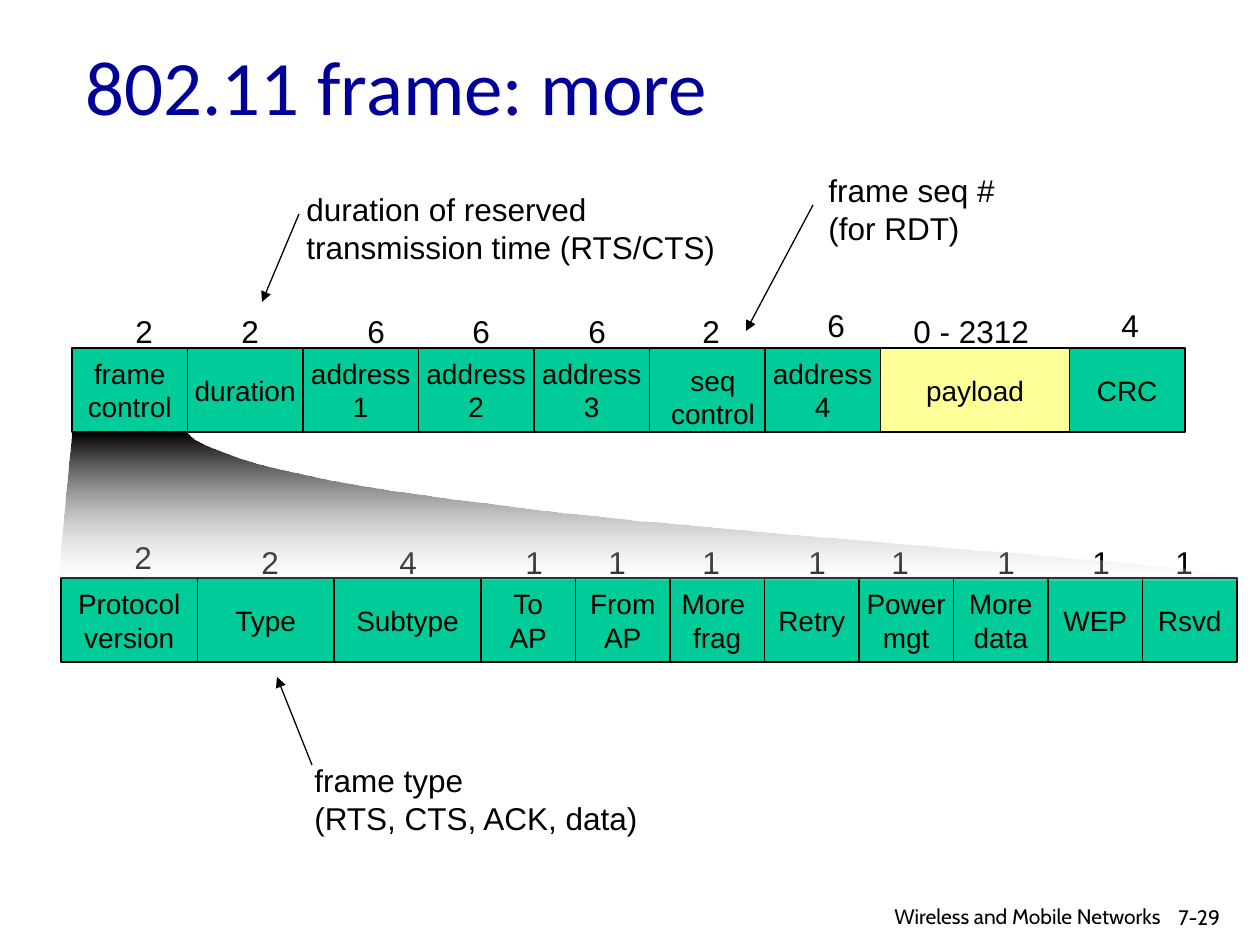
from lxml.etree import SubElement
from pptx import Presentation
from pptx.dml.color import RGBColor
from pptx.enum.shapes import MSO_CONNECTOR, MSO_SHAPE
from pptx.enum.text import MSO_ANCHOR, MSO_AUTO_SIZE, PP_ALIGN
from pptx.oxml.ns import qn
from pptx.util import Emu, Pt

PX = 914400 / 126
UNIT = 10.5  # field widths are counted in twelfths of an inch
FIELD_H = 84
LABEL_W, LABEL_H = 43, 50
BLACK, GREEN, YELLOW, NAVY = "000000", "00CC99", "FFFF99", "000099"

# Field: lines, width in units, size label, label left, label top
FRAME = dict(left=72, top=348, fields=[
    (["frame", "control"], 11, "2", 123, 306),
    (["duration"], 11, "2", 229, 306),
    (["address", "1"], 11, "6", 355, 306),
    (["address", "2"], 11, "6", 460, 306),
    (["address", "3"], 11, "6", 576, 306),
    ([], 11, "2", 690, 306),
    (["address", "4"], 11, "6", 815, 300),
    (["payload"], 18, "0 - 2312", 901, 306),
    (["CRC"], 11, "4", 1109, 300),
])
CONTROL = dict(left=61, top=578, fields=[
    (["Protocol", "version"], 13, "2", 122, 532),
    (["Type"], 13, "2", 249, 537),
    (["Subtype"], 14, "4", 387, 537),
    (["To", "AP"], 9, "1", 513, 537),
    (["From", "AP"], 9, "1", 596, 537),
    (["More ", "frag"], 9, "1", 690, 537),
    (["Retry"], 9, "1", 796, 537),
    (["Power", "mgt"], 9, "1", 879, 537),
    (["More", "data"], 9, "1", 985, 537),
    (["WEP"], 9, "1", 1080, 537),
    (["Rsvd"], 9, "1", 1163, 537),
])
# Note: lines, box, arrow start, arrow end
NOTES = [
    (["duration of reserved", "transmission time (RTS/CTS)"],
     (294, 184, 438, 89), (299, 214), (262, 302)),
    (["frame seq #", "(for RDT)"],
     (816, 165, 193, 89), (813, 205), (746, 331)),
    (["frame type", "(RTS, CTS, ACK, data)"],
     (302, 755, 355, 88), (312, 765), (277, 677)),
]
FOOTER = [
    ("7-29", (1166, 898, 94, 38), PP_ALIGN.LEFT),
    ("Wireless and Mobile Networks ", (806, 897, 372, 35), PP_ALIGN.RIGHT),
]
CURVE = [(1239, 581), (1260, 556), (272, 523), (187, 433)]


def px(*values):
    return [Emu(round(v * PX)) for v in values]


def rgb(color):
    return RGBColor.from_string(color)


def write(tf, lines, size, font="Arial", color=BLACK, align=PP_ALIGN.LEFT):
    for i, line in enumerate(lines):
        p = tf.paragraphs[0] if i == 0 else tf.add_paragraph()
        p.alignment = align
        r = p.add_run()
        r.text = line
        r.font.size, r.font.name = Pt(size), font
        r.font.color.rgb = rgb(color)


def add_text(shapes, lines, box, size, wrap=False, **style):
    tf = shapes.add_textbox(*px(*box)).text_frame
    tf.word_wrap = wrap
    if not wrap:
        tf.auto_size = MSO_AUTO_SIZE.SHAPE_TO_FIT_TEXT
    write(tf, lines, size, **style)


def add_row(slide, left, top, fields):
    shapes = slide.shapes.add_group_shape().shapes
    for lines, units, size_label, label_x, label_y in fields:
        width = units * UNIT
        sp = shapes.add_shape(MSO_SHAPE.RECTANGLE, *px(left, top, width, FIELD_H))
        sp.shadow.inherit = False
        sp.fill.solid()
        sp.fill.fore_color.rgb = rgb(YELLOW if lines == ["payload"] else GREEN)
        sp.line.color.rgb = rgb(BLACK)
        sp.line.width = Pt(0.75)
        tf = sp.text_frame
        tf.word_wrap = False
        tf.vertical_anchor = MSO_ANCHOR.MIDDLE
        write(tf, lines, 16, align=PP_ALIGN.CENTER)
        label_w = LABEL_W if len(size_label) == 1 else 141
        add_text(shapes, [size_label], (label_x, label_y, label_w, LABEL_H), 18)
        left += width
    return shapes


def add_arrow(slide, start, end):
    line = slide.shapes.add_connector(MSO_CONNECTOR.STRAIGHT, *px(*start, *end))
    line.line.color.rgb = rgb(BLACK)
    line.line.width = Pt(0.75)
    SubElement(line.line._get_or_add_ln(), qn("a:tailEnd"), type="triangle")
    SubElement(line._element.spPr, qn("a:effectLst"))


def bezier(points, steps=40):
    for i in range(steps + 1):
        t = i / steps
        weights = ((1 - t) ** 3, 3 * t * (1 - t) ** 2, 3 * t * t * (1 - t), t ** 3)
        yield tuple(sum(w * pt[axis] for w, pt in zip(weights, points))
                    for axis in (0, 1))


def add_fan(slide):
    fb = slide.shapes.build_freeform(73, 433, scale=PX)
    fb.add_line_segments([(59, 578), *bezier(CURVE)], close=True)
    sp = fb.convert_to_shape()
    sp.shadow.inherit = False
    sp.line.fill.background()
    sp.fill.gradient()
    sp.fill.gradient_angle = 270
    for stop, position, color in zip(sp.fill.gradient_stops, (0, 1), (BLACK, "FFFFFF")):
        stop.position = position
        stop.color.rgb = rgb(color)
    white = sp._element.spPr.findall(".//" + qn("a:srgbClr"))[-1]
    SubElement(white, qn("a:alpha"), val="18000")


def main():
    prs = Presentation()
    prs.slide_width, prs.slide_height = px(1260, 945)
    slide = prs.slides.add_slide(prs.slide_layouts[5])

    # Title
    title = slide.shapes.title
    title.left, title.top, title.width, title.height = px(73, 32, 1071, 157)
    title.text_frame.vertical_anchor = MSO_ANCHOR.TOP
    write(title.text_frame, ["802.11 frame: more"], 44, "Calibri", NAVY)

    # Frame and its expanded control field
    frame = add_row(slide, **FRAME)
    add_text(frame, ["seq", "control"], (658, 357, 110, 81), 16,
             align=PP_ALIGN.CENTER)
    add_row(slide, **CONTROL)
    add_fan(slide)

    # Notes with arrows
    for lines, box, start, end in NOTES:
        add_text(slide.shapes, lines, box, 18)
        add_arrow(slide, start, end)

    # Footer
    for text, box, align in FOOTER:
        add_text(slide.shapes, [text], box, 12, wrap=True, font="Cabin", align=align)

    prs.save("out.pptx")


if __name__ == "__main__":
    main()
